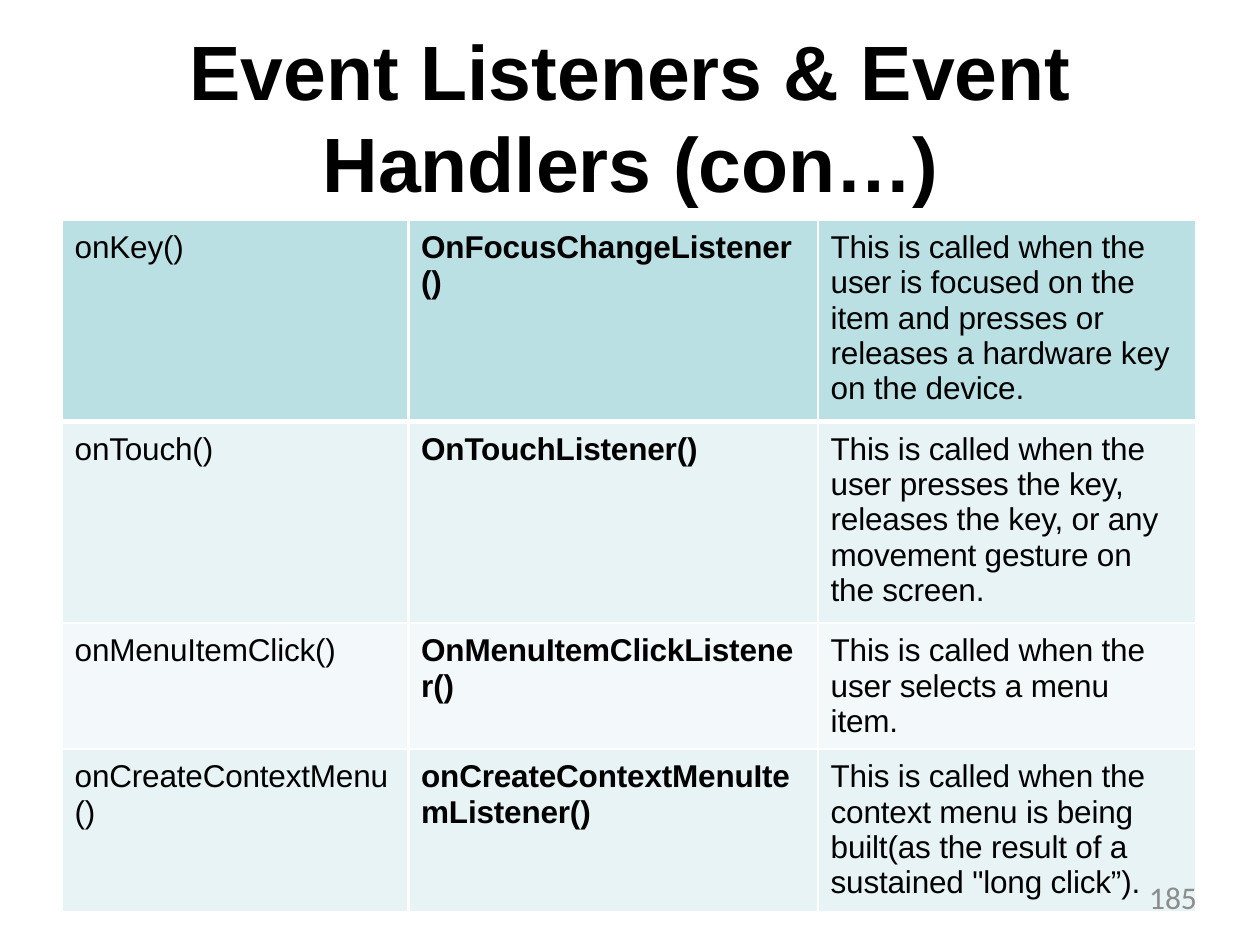
import pptx
import pptx.util
import pptx.dml.color
import pptx.enum.text
import pptx.oxml
import pptx.oxml.ns

Pt = pptx.util.Pt
ALIGN = pptx.enum.text.PP_ALIGN
COLUMN_WIDTHS = [198, 234, 216]
ROW_HEIGHTS = [115.2, 115.2, 72, 93.6]
ROW_FILLS = ["BAE0E3", "E7F3F4", "F3F9FA", "E7F3F4"]
ROWS = [
    ("onKey()", "OnFocusChangeListener\n()",
     "This is called when the user is focused on the item and presses or "
     "releases a hardware key on the device."),
    ("onTouch()", "OnTouchListener()",
     "This is called when the user presses the key, releases the key, or any "
     "movement gesture on the screen."),
    ("onMenuItemClick()", "OnMenuItemClickListene\nr()",
     "This is called when the user selects a menu item."),
    ("onCreateContextMenu ()", "onCreateContextMenuIte mListener()",
     "This is called when the context menu is being built(as the result of a "
     "sustained \"long click”)."),
]


def color(hex_string):
    return pptx.dml.color.RGBColor.from_string(hex_string)


def set_margins(target, left, top, right, bottom):
    target.margin_left, target.margin_top = Pt(left), Pt(top)
    target.margin_right, target.margin_bottom = Pt(right), Pt(bottom)


def format_text(text_frame, font_name, size, hex_string, bold=False,
                alignment=ALIGN.LEFT, spacing=0):
    for paragraph in text_frame.paragraphs:
        paragraph.alignment = alignment
        for run in paragraph.runs:
            run.font.name = font_name
            run.font.size = Pt(size)
            run.font.bold = bold
            run.font.color.rgb = color(hex_string)
            if spacing:
                run._r.get_or_add_rPr().set("spc", str(round(spacing * 100)))


def add_text(slide, text, left, top, width, height, top_margin=0, **style):
    box = slide.shapes.add_textbox(Pt(left), Pt(top), Pt(width), Pt(height))
    text_frame = box.text_frame
    text_frame.word_wrap = True
    set_margins(text_frame, 0, top_margin, 0, 0)
    text_frame.text = text
    format_text(text_frame, **style)


def add_borders(cell, hex_string, widths):
    properties = cell._tc.get_or_add_tcPr()
    for side, width in zip("LRTB", widths):
        properties.append(pptx.oxml.parse_xml(
            f'<a:ln{side} {pptx.oxml.ns.nsdecls("a")} w="{Pt(width)}">'
            f'<a:solidFill><a:srgbClr val="{hex_string}"/></a:solidFill>'
            f'</a:ln{side}>'))


def add_listener_table(slide):
    frame = slide.shapes.add_table(
        len(ROWS), len(COLUMN_WIDTHS), Pt(35.5), Pt(125.5),
        Pt(sum(COLUMN_WIDTHS)), Pt(sum(ROW_HEIGHTS)))
    table = frame.table
    table.first_row = False
    table.horz_banding = False
    for column, width in zip(table.columns, COLUMN_WIDTHS):
        column.width = Pt(width)
    for row_index, texts in enumerate(ROWS):
        table.rows[row_index].height = Pt(ROW_HEIGHTS[row_index])
        top_width = 3 if row_index == 1 else 1.5
        bottom_width = 3 if row_index == 0 else 1.5
        for column_index, text in enumerate(texts):
            cell = table.cell(row_index, column_index)
            set_margins(cell, 7.2, 6, 9 if column_index == 2 else 0, 0)
            cell.text_frame.text = text
            format_text(cell.text_frame, "Arial", 18, "000000",
                        bold=column_index == 1, spacing=-0.1)
            add_borders(cell, "FFFFFF", [1.5, 1.5, top_width, bottom_width])
            cell.fill.solid()
            cell.fill.fore_color.rgb = color(ROW_FILLS[row_index])


def main():
    presentation = pptx.Presentation()
    presentation.slide_width = Pt(720)
    presentation.slide_height = Pt(540)
    slide = presentation.slides.add_slide(presentation.slide_layouts[6])
    add_text(slide, "Event Listeners & Event\nHandlers (con…)",
             107, 11.5, 507, 108, top_margin=2, font_name="Arial", size=44,
             hex_string="000000", bold=True, alignment=ALIGN.CENTER)
    add_listener_table(slide)
    add_text(slide, "185", 518.4, 502, 165.6, 27, font_name="Calibri", size=18,
             hex_string="8C8C8C", alignment=ALIGN.RIGHT)
    presentation.save("out.pptx")


if __name__ == "__main__":
    main()
